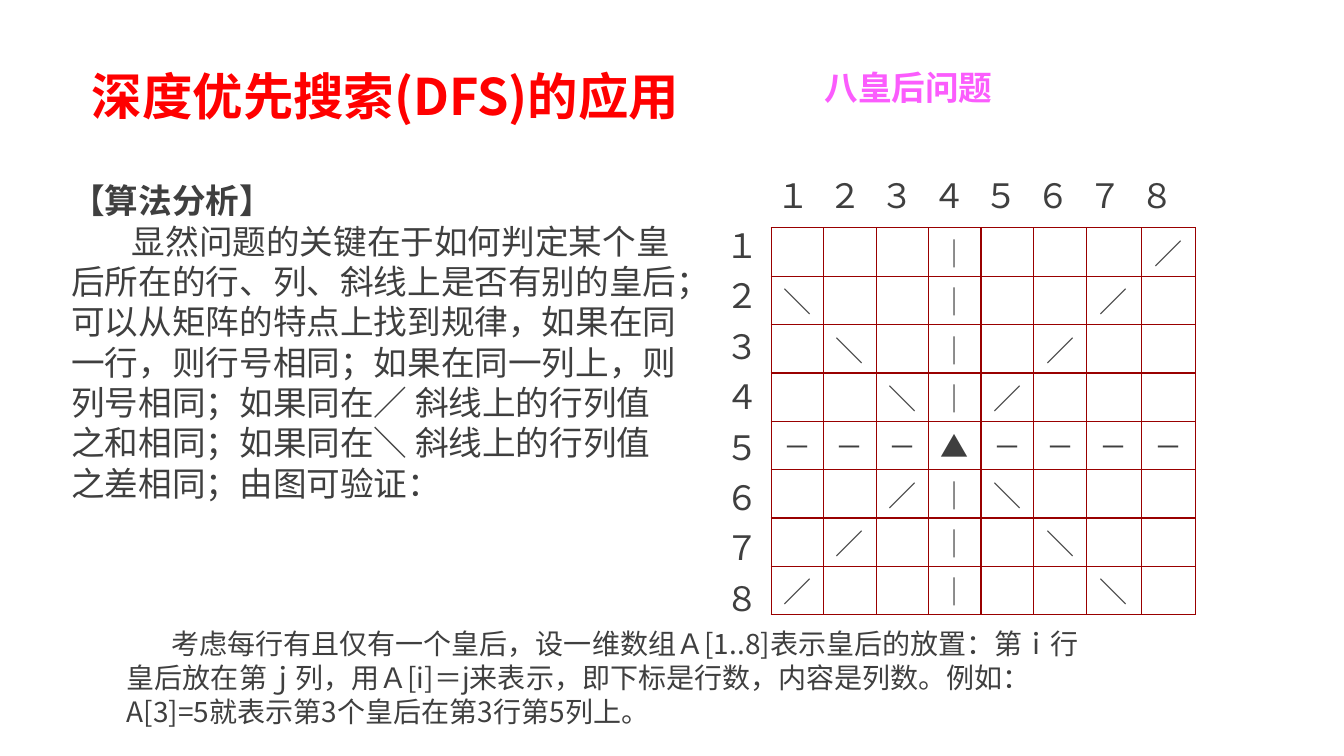
from dataclasses import dataclass

from lxml import etree
from pptx import Presentation
from pptx import util as u
from pptx.dml.color import RGBColor
from pptx.enum import text
from pptx.oxml import ns


@dataclass(frozen=True)
class Theme:
    font: str = "Noto Sans CJK SC"
    ink: str = "3F3F3F"
    title: str = "FF0000"
    topic: str = "FB5CFD"
    grid: str = "990000"
    title_size: int = 36
    body_size: int = 24
    small_size: int = 20


THEME = Theme()
DIGITS = "１２３４５６７８"
SIZE = len(DIGITS)
QUEEN_ROW, QUEEN_COL = 4, 3


def add_run(p, words, size, color=THEME.ink, bold=False):
    r = p.add_run()
    r.text = words
    r.font.size = u.Pt(size)
    r.font.bold = bold
    r.font.color.rgb = RGBColor.from_string(color)
    r.font.name = THEME.font
    ea = etree.SubElement(r.font._element, ns.qn("a:ea"))
    ea.set("typeface", THEME.font)


def add_text_box(slide, box, wrap=True):
    sp = slide.shapes.add_textbox(*map(u.Inches, box))
    tf = sp.text_frame
    tf.word_wrap = wrap
    tf.auto_size = text.MSO_AUTO_SIZE.SHAPE_TO_FIT_TEXT
    return tf


def indent_first_line(p, inches):
    p._p.get_or_add_pPr().set("indent", str(u.Inches(inches)))


def add_plain_table(slide, box, rows, widths):
    """Table without banding, fills or vertical cell margins."""
    table = slide.shapes.add_table(rows, len(widths), *map(u.Inches, box)).table
    table.first_row = table.horz_banding = False
    for column, width in zip(table.columns, widths):
        column.width = u.Inches(width)
    for row in table.rows:
        row.height = u.Inches(box[3] / rows)
    for cell in table.iter_cells():
        cell.fill.background()
        cell.margin_left = cell.margin_right = 0
        cell.margin_top = cell.margin_bottom = 0
        cell.vertical_anchor = text.MSO_ANCHOR.MIDDLE
    return table


def write_cell(cell, words, size):
    p = cell.text_frame.paragraphs[0]
    p.alignment = text.PP_ALIGN.CENTER
    add_run(p, words, size)


def outline_cell(cell):
    # Borders come before the fill in the cell properties
    tcPr = cell._tc.get_or_add_tcPr()
    for i, side in enumerate(("lnL", "lnR", "lnT", "lnB")):
        ln = etree.Element(ns.qn(f"a:{side}"), w=str(u.Pt(1)))
        fill = etree.SubElement(ln, ns.qn("a:solidFill"))
        etree.SubElement(fill, ns.qn("a:srgbClr"), val=THEME.grid)
        tcPr.insert(i, ln)


def board_mark(row, col):
    """Mark for a square attacked by the queen, or nothing."""
    if (row, col) == (QUEEN_ROW, QUEEN_COL):
        return "▲"
    if row == QUEEN_ROW:
        return "－"
    if col == QUEEN_COL:
        return "｜"
    if row + col == QUEEN_ROW + QUEEN_COL:
        return "／"
    if row - col == QUEEN_ROW - QUEEN_COL:
        return "＼"
    return ""


def add_title(slide, box):
    tf = add_text_box(slide, box)
    tf.auto_size = text.MSO_AUTO_SIZE.NONE
    tf.vertical_anchor = text.MSO_ANCHOR.BOTTOM
    tf.margin_left, tf.margin_top = u.Inches(0.12), u.Inches(0.05)
    tf.margin_right = tf.margin_bottom = 0
    p = tf.paragraphs[0]
    p.line_spacing = 0.9
    add_run(p, "深度优先搜索(DFS)的应用", THEME.title_size, THEME.title, True)


def add_topic(slide, box):
    tf = add_text_box(slide, box, wrap=False)
    add_run(tf.paragraphs[0], "八皇后问题", THEME.body_size, THEME.topic, True)


def add_analysis(slide, box):
    tf = add_text_box(slide, box)
    add_run(tf.paragraphs[0], "【算法分析】", THEME.body_size, bold=True)
    p = tf.add_paragraph()
    indent_first_line(p, 0.6)
    add_run(p, "显然问题的关键在于如何判定某个皇后所在的行、列、斜线上是否有别的皇后；"
               "可以从矩阵的特点上找到规律，如果在同一行，则行号相同；"
               "如果在同一列上，则列号相同；如果同在／ 斜线上的行列值之和相同；"
               "如果同在＼ 斜线上的行列值之差相同；由图可验证：", THEME.body_size)


def add_coordinates(slide, box):
    count = SIZE + 1
    table = add_plain_table(slide, box, count, [box[2] / count] * count)
    table.cell(1, 1).merge(table.cell(SIZE, SIZE))
    for i, digit in enumerate(DIGITS, 1):
        write_cell(table.cell(0, i), digit, THEME.body_size)
        write_cell(table.cell(i, 0), digit, THEME.body_size)


def add_board(slide, box):
    widths = [0.52] * 5 + [0.53] + [0.54] * 2
    table = add_plain_table(slide, box, SIZE, widths)
    for row in range(SIZE):
        for col in range(SIZE):
            cell = table.cell(row, col)
            outline_cell(cell)
            mark = board_mark(row, col)
            if mark:
                write_cell(cell, mark, THEME.small_size)


def add_array_note(slide, box):
    p = add_text_box(slide, box).paragraphs[0]
    indent_first_line(p, 0.44)
    add_run(p, "考虑每行有且仅有一个皇后，设一维数组Ａ[1..8]表示皇后的放置："
               "第ｉ行皇后放在第ｊ列，用Ａ[i]＝j来表示，即下标是行数，内容是列数。"
               "例如：A[3]=5就表示第3个皇后在第3行第5列上。", THEME.small_size)


def main():
    prs = Presentation()
    prs.slide_width, prs.slide_height = u.Inches(13.33), u.Inches(7.5)
    slide = prs.slides.add_slide(prs.slide_layouts[6])
    add_analysis(slide, (0.61, 1.74, 6.22, 3.3))
    add_coordinates(slide, (7.1, 1.67, 4.64, 4.5))
    add_board(slide, (7.65, 2.26, 4.21, 3.84))
    add_array_note(slide, (1.16, 6.17, 9.75, 1.1))
    add_title(slide, (0.79, 0.38, 9.25, 0.87))
    add_topic(slide, (8.08, 0.61, 1.87, 0.5))
    prs.save("out.pptx")


if __name__ == "__main__":
    main()
